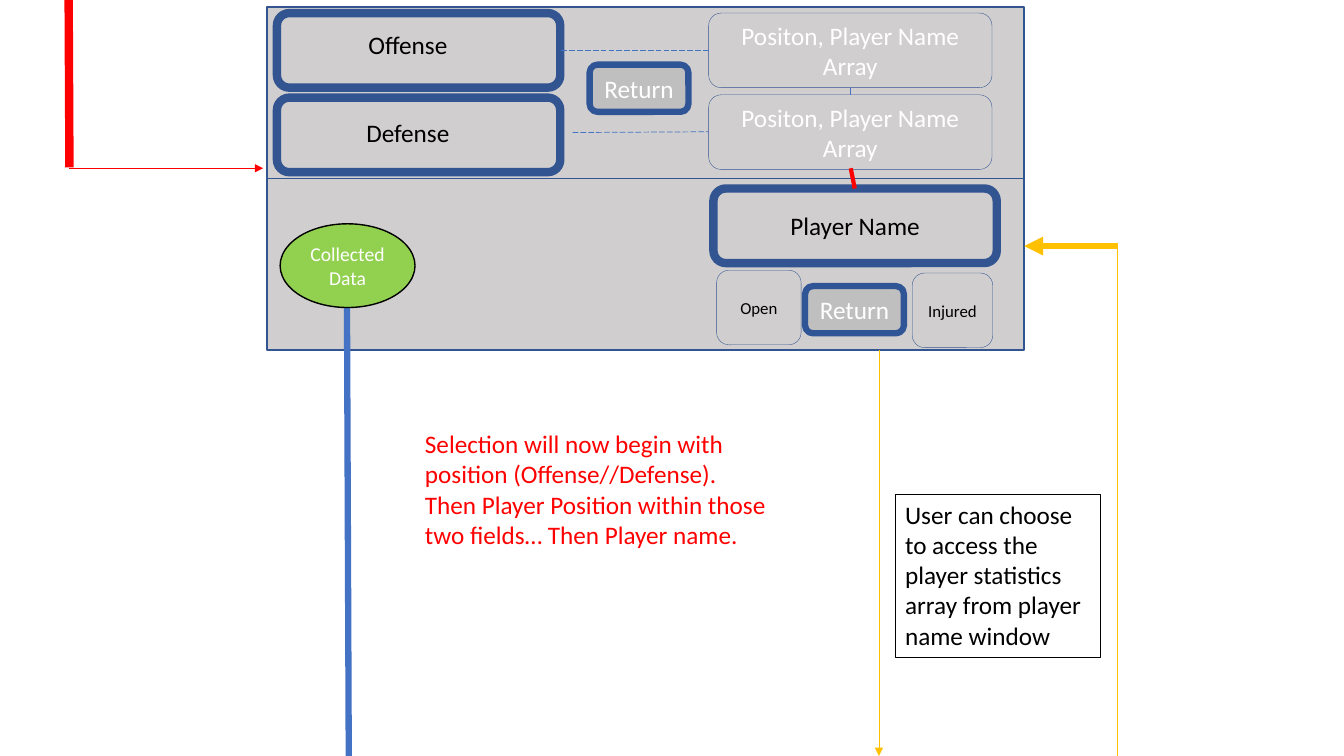
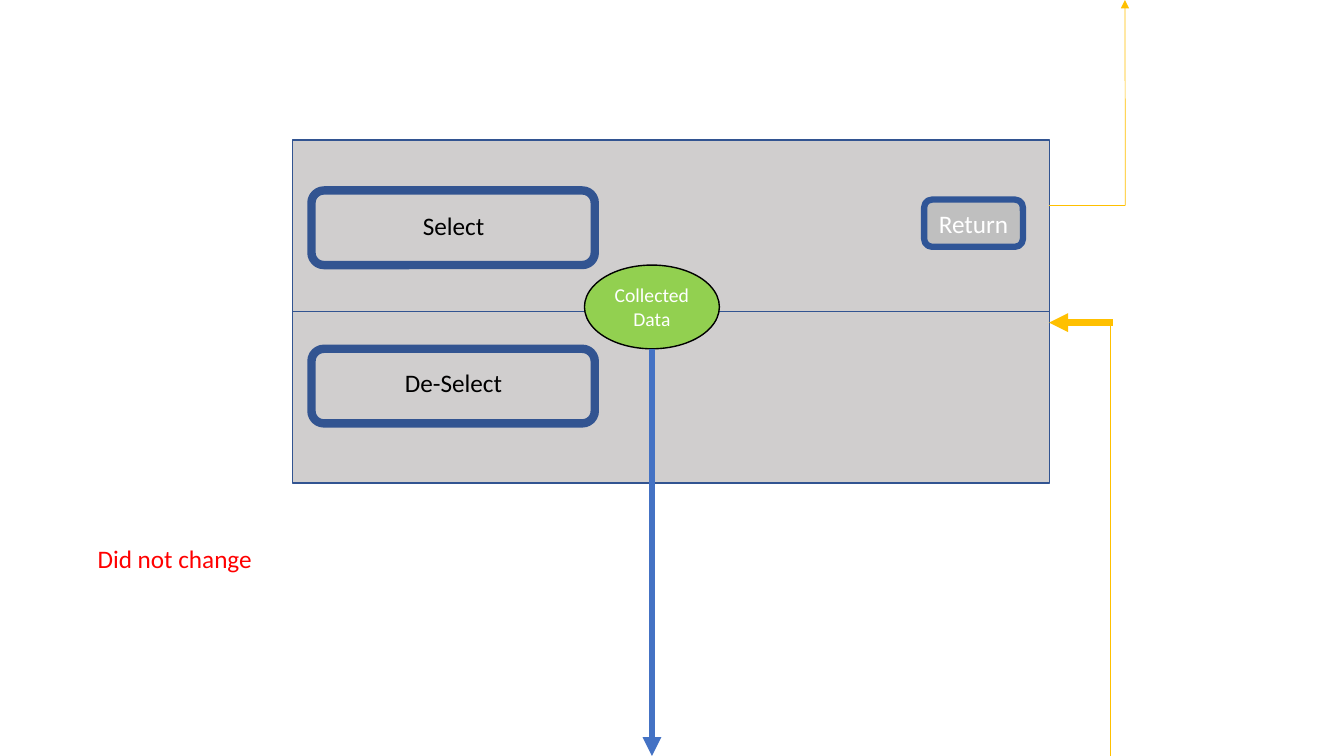
from pptx import Presentation
from pptx import util as u
from pptx.dml.color import RGBColor
from pptx.enum import dml, shapes, text
from pptx.oxml import parse_xml
from pptx.oxml.ns import nsdecls

BLACK = RGBColor(0x00, 0x00, 0x00)
WHITE = RGBColor(0xFF, 0xFF, 0xFF)
RED = RGBColor(0xFF, 0x00, 0x00)
AMBER = RGBColor(0xFF, 0xC0, 0x00)
BLUE = RGBColor(0x44, 0x72, 0xC4)
NAVY = RGBColor(0x32, 0x54, 0x91)
RETURN_EDGE = RGBColor(0x2F, 0x55, 0x97)
PANEL_GREY = RGBColor(0xD0, 0xCE, 0xCE)
RETURN_GREY = RGBColor(0xBF, 0xBF, 0xBF)
GREEN = RGBColor(0x92, 0xD0, 0x50)

FONT = "Calibri"
SLIDE_W, SLIDE_H = 33.87, 19.05
PANEL_W, PANEL_H = 19.08, 4.32

RECT = shapes.MSO_SHAPE.RECTANGLE
ROUND = shapes.MSO_SHAPE.ROUNDED_RECTANGLE
OVAL = shapes.MSO_SHAPE.OVAL

# kind: outline, width, height, fill, edge colour, edge points, text points, text colour
BOXES = {
    "panel": (RECT, PANEL_W, PANEL_H, PANEL_GREY, NAVY, 1, 18, BLACK),
    "button": (ROUND, 7.14, 1.88, PANEL_GREY, NAVY, 6, 18, BLACK),
    "array": (ROUND, 7.14, 1.88, PANEL_GREY, NAVY, 0.25, 18, WHITE),
    "status": (ROUND, 2.13, 1.88, PANEL_GREY, NAVY, 0.25, 12, BLACK),
    "return": (ROUND, 2.49, 1.19, RETURN_GREY, RETURN_EDGE, 4.5, 18, WHITE),
    "data": (OVAL, 3.4, 2.11, GREEN, BLACK, 1, 14, WHITE),
}

# kind: width, height, text colour, alignment, frame colour
TEXTS = {
    "label": (6.6, 1.02, BLACK, text.PP_ALIGN.CENTER, None),
    "remark": (9.53, 3.33, RED, text.PP_ALIGN.LEFT, None),
    "note": (5.18, 4.11, BLACK, text.PP_ALIGN.LEFT, BLACK),
}

# kind: colour, points, dashed, arrowhead
LINES = {
    "array link": (BLUE, 0.5, True, False),
    "array join": (BLUE, 0.5, False, False),
    "data line": (BLUE, 4.5, False, False),
    "data arrow": (BLUE, 4.5, False, True),
    "way": (AMBER, 0.5, False, False),
    "way arrow": (AMBER, 0.5, False, True),
    "stats arrow": (AMBER, 0.25, False, True),
    "entry arrow": (AMBER, 4.5, False, True),
    "name link": (RED, 3, False, False),
    "selection": (RED, 6, False, False),
    "selection arrow": (RED, 0.5, False, True),
}


def window(left, top):
    """Give the two stacked panels of a window."""
    return [("panel", left, top + row * PANEL_H, "") for row in range(2)]


# Boxes and texts: kind, left, top, wording, own width; lines: kind, from x, y, to x, y
ARRAY = "Positon, Player Name Array"
COLLECTED = "Collected Data"

PLAYER_WINDOW = window(6.73, 0.18) + [
    ("button", 6.98, 0.33, ""),
    ("label", 6.98, 0.61, "Offense"),
    ("button", 17.98, 4.75, "Player Name"),
    ("button", 6.98, 2.46, ""),
    ("label", 6.98, 2.82, "Defense"),
    ("array", 17.86, 0.33, ARRAY),
    ("array", 17.86, 2.39, ARRAY),
    ("array link", 14.15, 1.27, 17.86, 1.27),
    ("array link", 14.43, 3.34, 17.86, 3.32),
    ("array join", 21.44, 2.39, 21.44, 2.21),
    ("status", 18.06, 6.81, "Open"),
    ("status", 22.99, 6.88, "Injured", 2.03),
    ("way", 28.17, SLIDE_H, 28.17, 6.2),
    ("entry arrow", 28.17, 6.2, 25.81, 6.2),
    ("stats arrow", 22.15, 8.81, 22.15, SLIDE_H),
    ("data line", 8.74, 6.65, 8.79, SLIDE_H),
    ("data", 7.06, 5.64, COLLECTED),
    ("note", 22.56, 12.45, "User can choose to access the player statistics "
                           "array from player name window"),
    ("return", 14.86, 1.63, "Return"),
    ("return", 20.29, 7.21, "Return"),
    ("name link", 21.44, 4.24, 21.54, 4.75),
    ("selection", 1.73, 0, 1.75, 4.22),
    ("selection arrow", 1.75, 4.24, 6.63, 4.24),
    ("remark", 10.46, 10.67,
     "Selection will now begin with position (Offense//Defense).\n"
     "Then Player Position within those two fields… Then Player name."),
]

SELECT_WINDOW = window(7.37, 3.53) + [
    ("button", 7.85, 4.8, ""),
    ("label", 8.13, 5.18, "Select"),
    ("button", 7.85, 8.79, ""),
    ("label", 8.13, 9.12, "De-Select"),
    ("data", 14.73, 6.68, COLLECTED),
    ("data arrow", 16.43, 8.79, 16.43, SLIDE_H),
    ("return", 23.29, 5.03, "Return"),
    ("way", 26.44, 5.18, 28.36, 5.18),
    ("way arrow", 28.36, 5.18, 28.35, 0),
    ("way", 27.99, SLIDE_H, 27.99, 8.15),
    ("entry arrow", 28.04, 8.13, 26.44, 8.13),
    ("remark", 2.21, 13.56, "Did not change", 8.46),
]


def write(frame, wording, points, colour, align):
    """Fill a text frame, one paragraph for each line of the wording."""
    frame.word_wrap = True
    for number, sentence in enumerate(wording.split("\n")):
        paragraph = frame.add_paragraph() if number else frame.paragraphs[0]
        paragraph.alignment = align
        run = paragraph.add_run()
        run.text = sentence
        run.font.name, run.font.size = FONT, u.Pt(points)
        run.font.color.rgb = colour


def add_box(slide, kind, left, top, wording, own_width=None):
    """Draw a panel, button or oval with its centred wording."""
    outline, width, height, fill, edge, edge_points, points, colour = BOXES[kind]
    box = slide.shapes.add_shape(
        outline, *map(u.Cm, (left, top, own_width or width, height)))
    box.shadow.inherit = False
    box.fill.solid()
    box.fill.fore_color.rgb = fill
    box.line.color.rgb = edge
    box.line.width = u.Pt(edge_points)
    if wording:
        box.text_frame.vertical_anchor = text.MSO_ANCHOR.MIDDLE
        write(box.text_frame, wording, points, colour, text.PP_ALIGN.CENTER)


def add_text(slide, kind, left, top, wording, own_width=None):
    """Place a label, remark or framed note."""
    width, height, colour, align, frame_colour = TEXTS[kind]
    area = slide.shapes.add_textbox(
        *map(u.Cm, (left, top, own_width or width, height)))
    if frame_colour is not None:
        area.line.color.rgb = frame_colour
        area.line.width = u.Pt(0.25)
    write(area.text_frame, wording, 18, colour, align)


def add_line(slide, kind, *ends):
    """Draw a straight line, dashed or with an arrowhead as its kind says."""
    colour, points, dashed, arrowhead = LINES[kind]
    link = slide.shapes.add_connector(
        shapes.MSO_CONNECTOR.STRAIGHT, *map(u.Cm, ends))
    link.line.color.rgb = colour
    link.line.width = u.Pt(points)
    if dashed:
        link.line.dash_style = dml.MSO_LINE.LONG_DASH
    if arrowhead:
        link.line._get_or_add_ln().append(
            parse_xml(f'<a:tailEnd {nsdecls("a")} type="triangle"/>'))
    link._element.spPr.append(parse_xml(f'<a:effectLst {nsdecls("a")}/>'))


def add_part(slide, kind, *details):
    """Send one part to the function that draws its kind."""
    for kinds, draw in ((BOXES, add_box), (TEXTS, add_text), (LINES, add_line)):
        if kind in kinds:
            draw(slide, kind, *details)


deck = Presentation()
deck.slide_width, deck.slide_height = u.Cm(SLIDE_W), u.Cm(SLIDE_H)
for parts in (PLAYER_WINDOW, SELECT_WINDOW):
    page = deck.slides.add_slide(deck.slide_layouts[6])
    for part in parts:
        add_part(page, *part)
deck.save("out.pptx")
